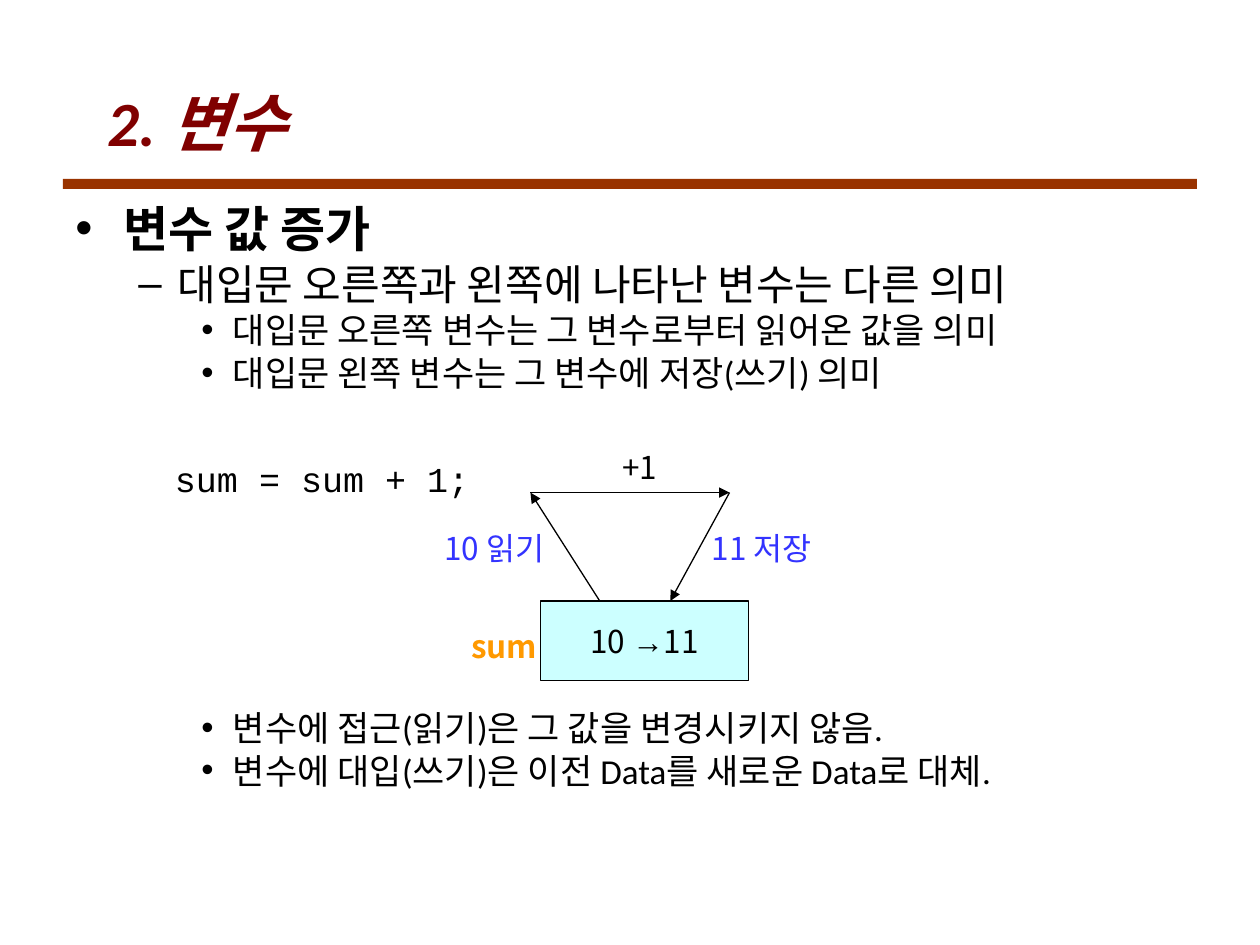
from dataclasses import dataclass

from lxml.etree import SubElement
from pptx import Presentation
from pptx.dml.color import RGBColor
from pptx.enum.shapes import MSO_CONNECTOR, MSO_SHAPE
from pptx.enum.text import MSO_ANCHOR, PP_ALIGN
from pptx.oxml.ns import qn
from pptx.util import Inches, Pt

WIDTH, HEIGHT = Inches(10), Inches(7.5)


@dataclass(frozen=True)
class Theme:
    black: str = "000000"
    title: str = "800000"
    rule: str = "993300"
    cell: str = "CCFFFF"
    name: str = "FF9900"
    step: str = "3333FF"
    body_font: str = "Calibri"
    label_font: str = "Noto Sans CJK KR"
    symbol_font: str = "Arial"
    code_font: str = "Courier New"
    title_size: int = 36
    level_sizes: tuple = (28, 24, 20)
    code_size: int = 20
    label_size: int = 18
    line_width: float = 0.75


THEME = Theme()
LEVELS = (("•", 0.38, 0.38, 7), ("–", 0.81, 0.31, 6), ("•", 1.25, 0.25, 5))
DIAGRAM_GAP = 184
OUTLINE = (
    (0, "변수 값 증가", 0),
    (1, "대입문 오른쪽과 왼쪽에 나타난 변수는 다른 의미", None),
    (2, "대입문 오른쪽 변수는 그 변수로부터 읽어온 값을 의미", None),
    (2, "대입문 왼쪽 변수는 그 변수에 저장(쓰기) 의미", None),
    (2, "변수에 접근(읽기)은 그 값을 변경시키지 않음.", DIAGRAM_GAP),
    (2, "변수에 대입(쓰기)은 이전 Data를 새로운 Data로 대체.", None),
)


def point(x, y):
    return int(WIDTH * x / 100), int(HEIGHT * y / 100)


def area(x, y, w, h):
    return *point(x, y), *point(w, h)


def format_run(r, size, color, font, bold=False, italic=False):
    r.font.size = Pt(size)
    r.font.color.rgb = RGBColor.from_string(color)
    r.font.name = font
    r.font.bold = bold
    r.font.italic = italic
    SubElement(r.font._element, qn("a:ea"), typeface=THEME.label_font)


def add_title(s, text, box):
    title = s.shapes.title
    title.left, title.top, title.width, title.height = area(*box)
    tf = title.text_frame
    tf.text = text
    tf.vertical_anchor = MSO_ANCHOR.MIDDLE
    p = tf.paragraphs[0]
    p.alignment = PP_ALIGN.LEFT
    format_run(p.runs[0], THEME.title_size, THEME.title, THEME.body_font, True, True)


def add_rect(s, box, fill, line=None):
    sp = s.shapes.add_shape(MSO_SHAPE.RECTANGLE, *area(*box))
    sp.shadow.inherit = False
    sp.fill.solid()
    sp.fill.fore_color.rgb = RGBColor.from_string(fill)
    if line:
        sp.line.color.rgb = RGBColor.from_string(line)
        sp.line.width = Pt(THEME.line_width)
    else:
        sp.line.fill.background()
    return sp


def add_value(sp, parts):
    tf = sp.text_frame
    tf.word_wrap = False
    tf.vertical_anchor = MSO_ANCHOR.MIDDLE
    p = tf.paragraphs[0]
    p.alignment = PP_ALIGN.CENTER
    for text, font in parts:
        r = p.add_run()
        r.text = text
        format_run(r, THEME.label_size, THEME.black, font)


def add_label(s, text, box, color, size=THEME.label_size, font=THEME.label_font, bold=False):
    tf = s.shapes.add_textbox(*area(*box)).text_frame
    tf.word_wrap = False
    tf.text = text
    format_run(tf.paragraphs[0].runs[0], size, color, font, bold)


def add_bullet(p, level):
    char, margin, hang, _ = LEVELS[level]
    p.level = level
    pPr = p._p.get_or_add_pPr()
    pPr.set("marL", str(Inches(margin)))
    pPr.set("indent", str(-Inches(hang)))
    SubElement(pPr, qn("a:buFont"), typeface=THEME.symbol_font)
    SubElement(pPr, qn("a:buChar"), char=char)


def add_outline(s, items, box):
    tf = s.shapes.add_textbox(*area(*box)).text_frame
    tf.word_wrap = True
    for i, (level, text, gap) in enumerate(items):
        p = tf.add_paragraph() if i else tf.paragraphs[0]
        p.text = text
        add_bullet(p, level)
        p.line_spacing = 0.8
        p.space_before = Pt(LEVELS[level][3] if gap is None else gap)
        format_run(p.runs[0], THEME.level_sizes[level], THEME.black,
                   THEME.body_font, level == 0)


def add_arrow(s, start, end):
    c = s.shapes.add_connector(MSO_CONNECTOR.STRAIGHT, *point(*start), *point(*end))
    c.line.color.rgb = RGBColor.from_string(THEME.black)
    c.line.width = Pt(THEME.line_width)
    SubElement(c.line._get_or_add_ln(), qn("a:tailEnd"), type="triangle")
    SubElement(c._element.spPr, qn("a:effectLst"))


def add_diagram(s):
    cell = add_rect(s, (42.9, 63.6, 16.5, 8.4), THEME.cell, THEME.black)
    add_value(cell, (("10 ", THEME.label_font), ("→", THEME.symbol_font),
                     ("11", THEME.label_font)))
    read, write = (42.1, 52.13), (57.9, 52.13)
    add_arrow(s, (47.6, 63.6), read)
    add_arrow(s, write, (53.2, 63.6))
    add_arrow(s, read, write)
    add_label(s, "sum", (36.4, 65.73, 7.3, 5.33), THEME.name, bold=True)
    add_label(s, "+1", (48.4, 46.8, 6.3, 5.33), THEME.black)
    add_label(s, "10 읽기", (34.3, 55.33, 10.7, 5.33), THEME.step)
    add_label(s, "11 저장", (55.5, 55.33, 10.7, 5.33), THEME.step)
    add_label(s, "sum = sum + 1;", (12.9, 47.73, 27.1, 5.6), THEME.black,
              THEME.code_size, THEME.code_font)


def main():
    prs = Presentation()
    prs.slide_width, prs.slide_height = WIDTH, HEIGHT
    s = prs.slides.add_slide(prs.slide_layouts[5])
    add_rect(s, (5, 18.93, 90, 1.07), THEME.rule)
    add_title(s, "2. 변수", (7.5, 6.67, 85, 12.27))
    add_outline(s, OUTLINE, (5, 21.6, 93, 70.4))
    add_diagram(s)
    prs.save("out.pptx")


if __name__ == "__main__":
    main()
